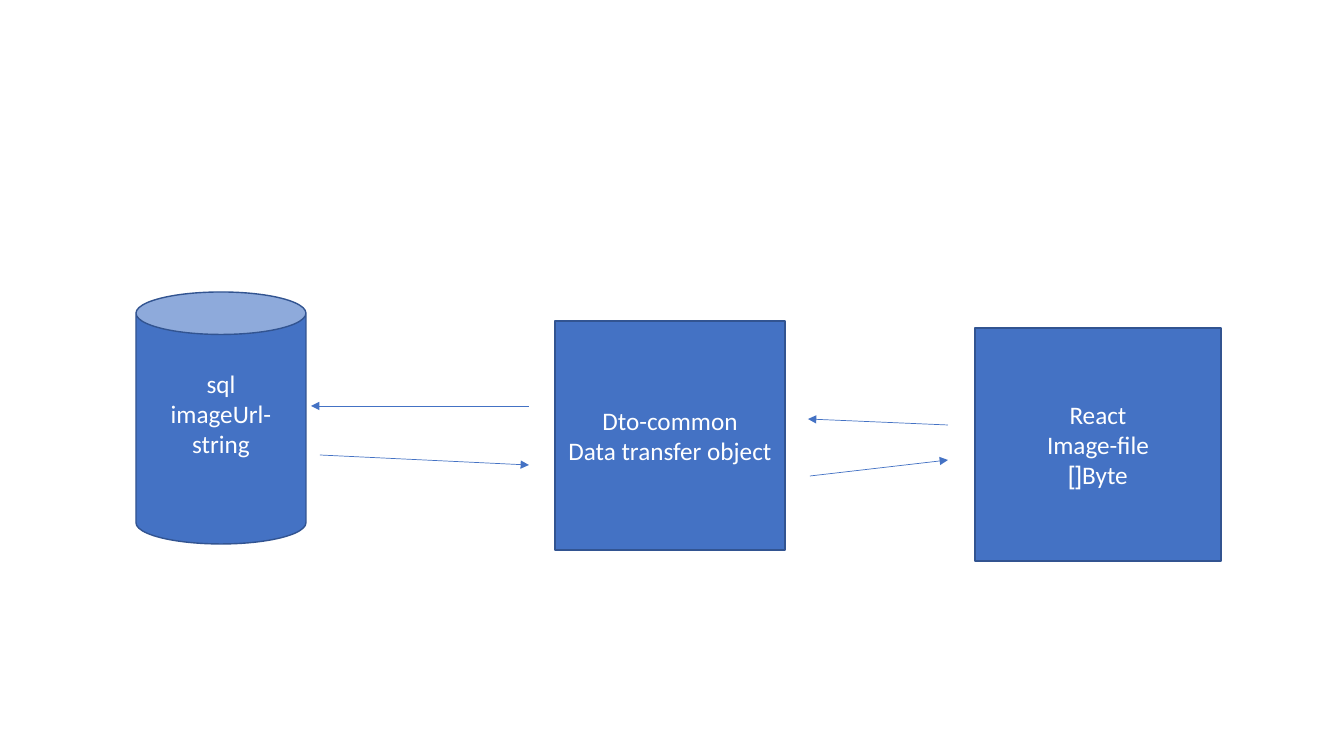
from dataclasses import dataclass

from lxml import etree
from pptx import Presentation
from pptx.dml.color import RGBColor
from pptx.enum.shapes import MSO_CONNECTOR, MSO_SHAPE
from pptx.enum.text import MSO_ANCHOR, PP_ALIGN
from pptx.oxml.ns import qn
from pptx.slide import Slide
from pptx.util import Emu, Pt

CAN = MSO_SHAPE.CAN
RECTANGLE = MSO_SHAPE.RECTANGLE
STRAIGHT = MSO_CONNECTOR.STRAIGHT
MIDDLE = MSO_ANCHOR.MIDDLE
CENTER = PP_ALIGN.CENTER

PX_PER_INCH = 100.8
SLIDE_WIDTH, SLIDE_HEIGHT = 1344, 756
BLANK_LAYOUT = 6


@dataclass(frozen=True)
class Theme:
    fill: RGBColor = RGBColor(0x44, 0x72, 0xC4)
    outline: RGBColor = RGBColor(0x32, 0x54, 0x91)
    text: RGBColor = RGBColor(0xFF, 0xFF, 0xFF)
    font: str = "Calibri"
    text_size: Pt = Pt(18)
    outline_width: Pt = Pt(1)
    arrow_width: Pt = Pt(0.5)


@dataclass(frozen=True)
class Node:
    kind: MSO_SHAPE
    left: int
    top: int
    width: int
    height: int
    lines: tuple[str, ...]
    bottom_inset: int = 5


@dataclass(frozen=True)
class Arrow:
    start: tuple[int, int]
    end: tuple[int, int]


THEME = Theme()

NODES = (
    Node(CAN, 136, 292, 170, 252, ("sql", "imageUrl-string"), bottom_inset=35),
    Node(RECTANGLE, 975, 328, 246, 233, ("React", "Image-file", "Byte[]")),
    Node(RECTANGLE, 555, 321, 230, 229, ("Dto-common", "Data transfer object")),
)

ARROWS = (
    Arrow((948, 425), (808, 419)),
    Arrow((529, 406), (311, 406)),
    Arrow((320, 455), (529, 465)),
    Arrow((810, 476), (948, 460)),
)


def px(length: int) -> Emu:
    return Emu(round(length * 914400 / PX_PER_INCH))


def apply_format(target: object, values: dict[str, object]) -> None:
    for name, value in values.items():
        setattr(target, name, value)


def draw_node(slide: Slide, node: Node) -> None:
    shape = slide.shapes.add_shape(
        node.kind, px(node.left), px(node.top), px(node.width), px(node.height)
    )
    shape.shadow.inherit = False
    shape.fill.solid()
    shape.fill.fore_color.rgb = THEME.fill
    shape.line.color.rgb = THEME.outline
    shape.line.width = THEME.outline_width

    # Right-to-left label, one paragraph a line
    frame = shape.text_frame
    apply_format(frame, {
        "text": "\n".join(node.lines),
        "word_wrap": True,
        "vertical_anchor": MIDDLE,
        "margin_bottom": px(node.bottom_inset),
    })
    for paragraph in frame.paragraphs:
        paragraph.alignment = CENTER
        paragraph._p.get_or_add_pPr().set("rtl", "1")
        for run in paragraph.runs:
            apply_format(run.font, {"name": THEME.font, "size": THEME.text_size})
            run.font.color.rgb = THEME.text


def draw_arrow(slide: Slide, arrow: Arrow) -> None:
    ends = [px(value) for value in (*arrow.start, *arrow.end)]
    connector = slide.shapes.add_connector(STRAIGHT, *ends)
    connector.line.color.rgb = THEME.fill
    connector.line.width = THEME.arrow_width

    # Arrowhead, and no shadow
    properties = connector._element.spPr
    outline = properties.find(qn("a:ln"))
    etree.SubElement(outline, qn("a:tailEnd"), type="triangle")
    etree.SubElement(properties, qn("a:effectLst"))


def main() -> None:
    presentation = Presentation()
    presentation.slide_width = px(SLIDE_WIDTH)
    presentation.slide_height = px(SLIDE_HEIGHT)
    slide = presentation.slides.add_slide(presentation.slide_layouts[BLANK_LAYOUT])

    # Database, front end and transfer object
    for node in NODES:
        draw_node(slide, node)

    # Data flow between them
    for arrow in ARROWS:
        draw_arrow(slide, arrow)

    presentation.save("out.pptx")


if __name__ == "__main__":
    main()
